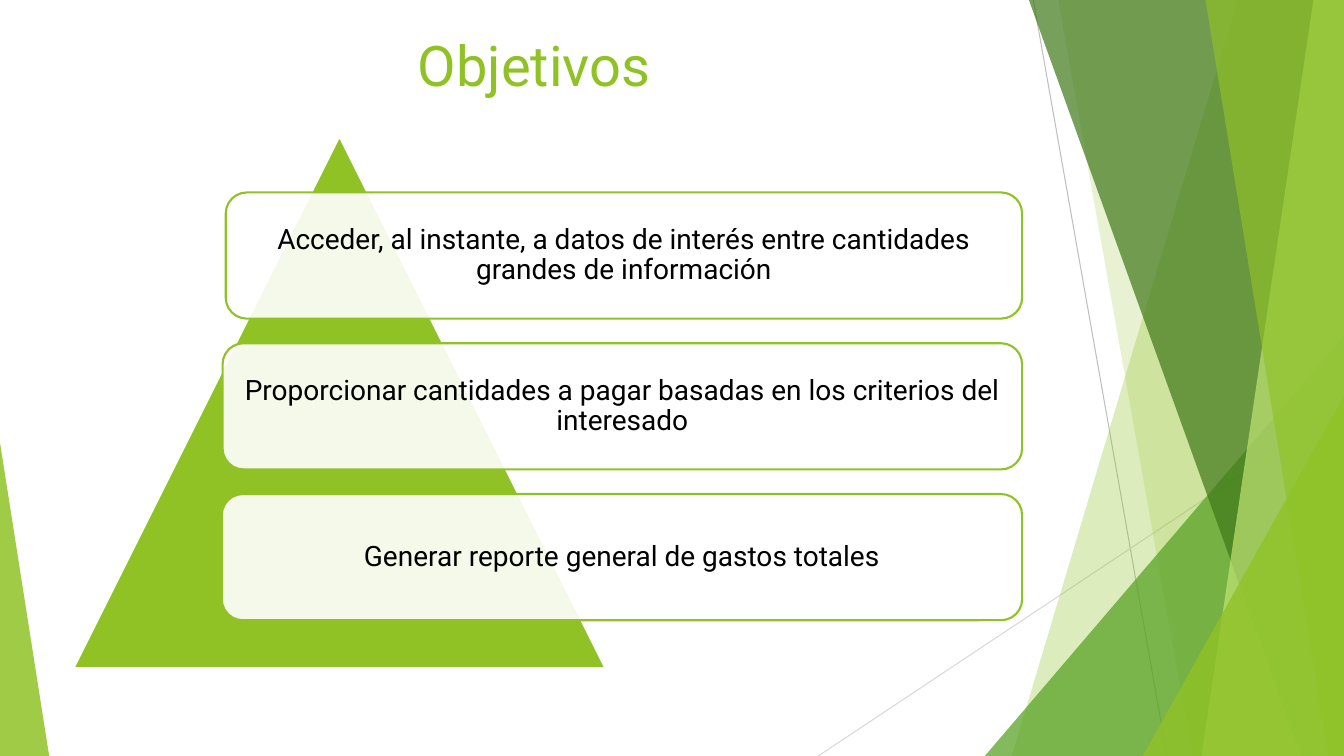
"""Build the Objetivos slide: a pyramid with three goal cards on a faceted green backdrop."""
from lxml.etree import SubElement
from pptx import Presentation
from pptx.dml.color import RGBColor as Rgb
from pptx.enum.shapes import MSO_CONNECTOR as Link, MSO_SHAPE as Kind
from pptx.enum.text import MSO_ANCHOR as Anchor, PP_ALIGN as Align
from pptx.oxml.ns import qn
from pptx.util import Cm, Pt

HUES = {"lime": "90C226", "leaf": "54A021", "moss": "3F7819", "pale": "C0E474",
        "white": "FFFFFF", "black": "000000", "grey": "BFBFBF", "mist": "D9D9D9"}
FONT = "Roboto"
WIDE, HIGH = 33.87, 19.05

TITLE = "Objetivos"
GOALS = [
    (5.69, "Acceder, al instante, a datos de interés entre cantidades grandes de información"),
    (5.61, "Proporcionar cantidades a pagar basadas en los criterios del interesado"),
    (5.59, "Generar reporte general de gastos totales"),
]
RAYS = [(26.04, 0, 29.41, HIGH, "grey"), (WIDE, 10.24, 20.62, HIGH, "mist")]
# kind, geometry, hue, opacity
DECOR = [
    ("band", (31.19, 25.5), "lime", 30),
    ("band", (26.67, 30.05), "lime", 20),
    ("peak", (24.82, 8.46, 9.05, 1), "leaf", 72),
    ("band", (25.93, 32.79), "moss", 70),
    ("band", (33.1, 30.28), "pale", 70),
    ("band", (30.38, 33.48), "lime", 65),
    ("peak", (28.8, 9.98, 5.07, 1), "lime", 80),
    ("peak", (0, 11.15, 1.24, 0), "lime", 85),
]
CARD_TOP, CARD_HIGH, CARD_STEP, CARD_END = 4.85, 3.18, 3.8, 25.76


def hue(name):
    return Rgb.from_string(HUES[name])


def paint(shape, fill, alpha=100, line=None):
    shape.shadow.inherit = False
    shape.fill.solid()
    shape.fill.fore_color.rgb = hue(fill)
    if alpha < 100:
        tint = shape.fill._xPr.find(".//" + qn("a:srgbClr"))
        SubElement(tint, qn("a:alpha")).set("val", str(alpha * 1000))
    if line:
        shape.line.color.rgb = hue(line)
        shape.line.width = Pt(1.5)
    else:
        shape.line.fill.background()


def write(shape, text, size=20, color="black", inset=0.2, space=1.0):
    frame = shape.text_frame
    frame.word_wrap = True
    frame.vertical_anchor = Anchor.MIDDLE
    frame.margin_left = frame.margin_right = Cm(inset)
    frame.margin_top = frame.margin_bottom = Cm(inset)
    para = frame.paragraphs[0]
    para.alignment = Align.CENTER
    para.line_spacing = space
    run = para.add_run()
    run.text = text
    run.font.name = FONT
    run.font.size = Pt(size)
    run.font.color.rgb = hue(color)


def add(shapes, kind, *box):
    return shapes.add_shape(kind, *map(Cm, box))


def draw_ray(shapes, x1, y1, x2, y2, color):
    ray = shapes.add_connector(Link.STRAIGHT, Cm(x1), Cm(y1), Cm(x2), Cm(y2))
    ray.line.color.rgb = hue(color)
    ray.line.width = Pt(0.75)
    SubElement(ray.line._ln.getparent(), qn("a:effectLst"))


def draw_band(shapes, top, base):
    pen = shapes.build_freeform(Cm(top), 0)
    pen.add_line_segments([(Cm(WIDE), 0), (Cm(WIDE), Cm(HIGH)), (Cm(base), Cm(HIGH))])
    return pen.convert_to_shape()


def draw_peak(shapes, left, top, width, tip):
    peak = add(shapes, Kind.ISOSCELES_TRIANGLE, left, top, width, HIGH - top)
    peak.adjustments[0] = tip
    return peak


def main():
    deck = Presentation()
    deck.slide_width, deck.slide_height = Cm(WIDE), Cm(HIGH)
    shapes = deck.slides.add_slide(deck.slide_layouts[5]).shapes

    for ray in RAYS:
        draw_ray(shapes, *ray)
    makers = {"band": draw_band, "peak": draw_peak}
    for kind, geom, color, alpha in DECOR:
        paint(makers[kind](shapes, *geom), color, alpha)

    title = shapes.title
    title.left, title.top, title.width, title.height = map(Cm, (1.52, 0.64, 23.88, 1.96))
    write(title, TITLE, size=40, color="lime", inset=0.13)

    paint(add(shapes, Kind.ISOSCELES_TRIANGLE, 1.85, 3.43, 13.41, 13.41), "lime", line="white")
    for i, (left, text) in enumerate(GOALS):
        card = add(shapes, Kind.ROUNDED_RECTANGLE, left, CARD_TOP + i * CARD_STEP,
                   CARD_END - left, CARD_HIGH)
        paint(card, "white", 90, "lime")
        write(card, text, space=0.9)

    deck.save("out.pptx")


if __name__ == "__main__":
    main()
